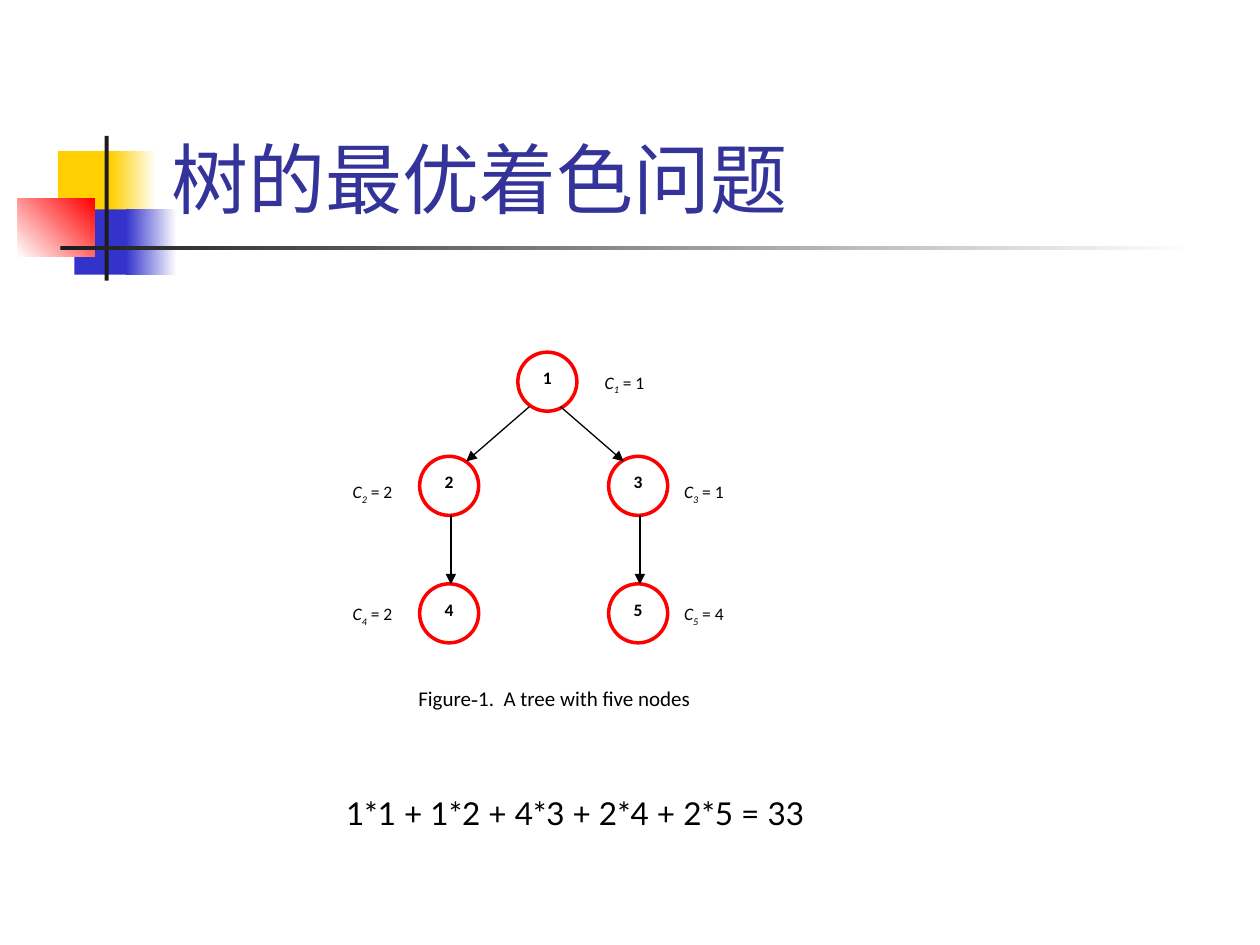
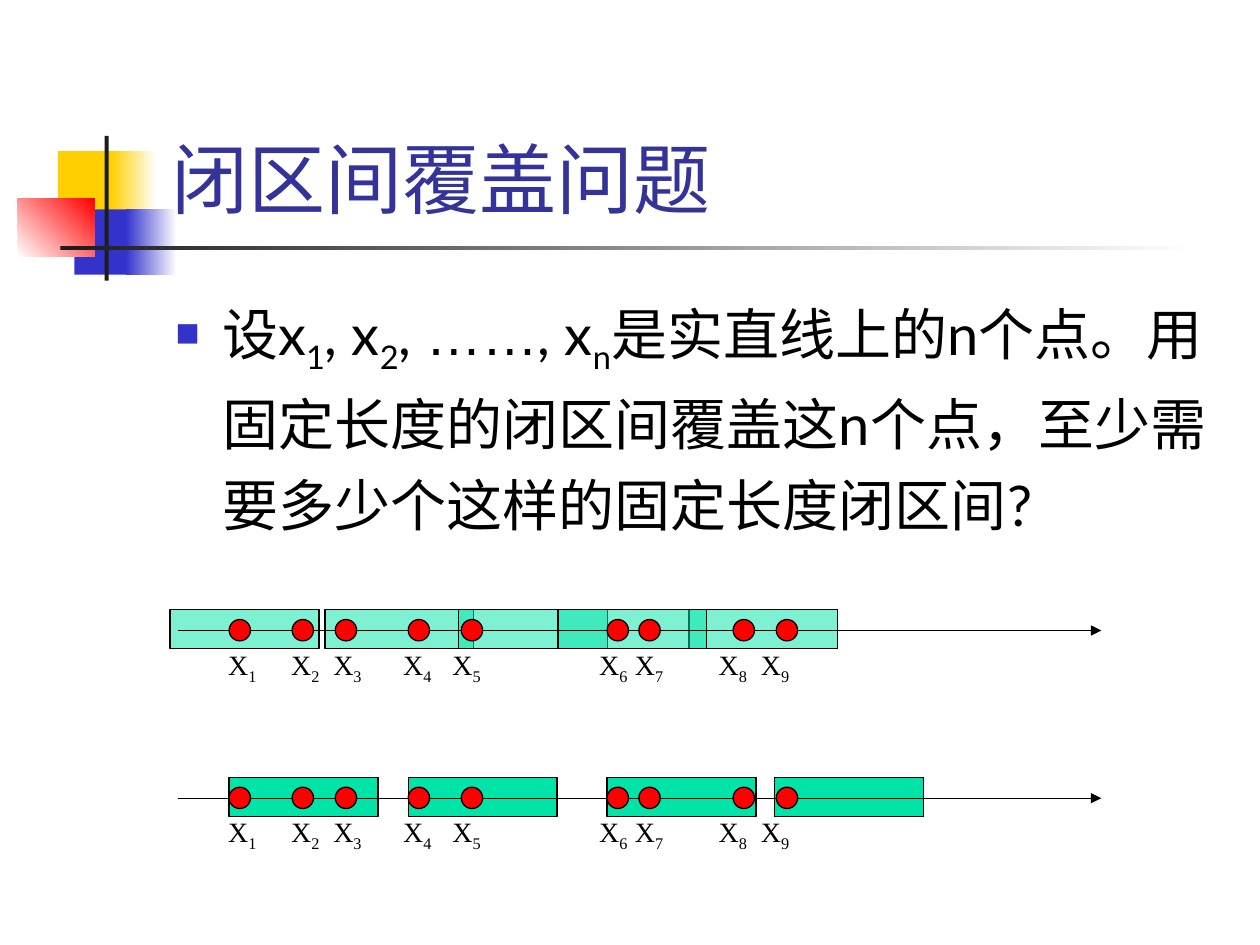
from dataclasses import dataclass, field
from typing import NamedTuple

from lxml.etree import SubElement
from pptx import Presentation
from pptx.dml.color import RGBColor
from pptx.enum.lang import MSO_LANGUAGE_ID
from pptx.enum.shapes import MSO_CONNECTOR, MSO_SHAPE
from pptx.enum.text import MSO_ANCHOR, MSO_AUTO_SIZE, PP_ALIGN
from pptx.oxml.ns import qn
from pptx.util import Cm, Pt


class Style(NamedTuple):
    size: float
    font: str = "Lato"
    ink: str = "000000"
    bold: bool = False


@dataclass(frozen=True)
class Theme:
    black: str = "000000"
    white: str = "FFFFFF"
    gold: str = "FFCF01"
    blue: str = "3333CC"
    red: str = "FF0000"
    dark: str = "1C1C1C"
    mint: str = "00E4A8"
    thin: float = 0.75
    thick: float = 2
    title: Style = field(default=Style(44, ink="333399"))
    body: Style = field(default=Style(32))
    sum: Style = field(default=Style(18))
    node: Style = field(default=Style(10, "Calibri", bold=True))
    cost: Style = field(default=Style(10, "Calibri"))
    note: Style = field(default=Style(12, "Calibri"))
    mark: Style = field(default=Style(16, "Times New Roman"))


class Box(NamedTuple):
    x: float
    y: float
    w: float
    h: float

    def place(self) -> list:
        return [Cm(side) for side in self]


class Bit(NamedTuple):
    text: str
    sub: bool = False
    slant: bool = False
    font: str = ""


class Band(NamedTuple):
    box: Box
    start: str
    end: str = ""
    angle: float = 0


class Node(NamedTuple):
    name: str
    cost: str
    x: float
    y: float
    tag_x: float
    tag_y: float


class Edge(NamedTuple):
    x1: float
    y1: float
    x2: float
    y2: float


class Row(NamedTuple):
    top: float
    spans: tuple[float, ...]
    clear: bool


LOOK = Theme()

BANDS = (
    Band(Box(1.17, 3.05, 1.22, 1.32), LOOK.gold),
    Band(Box(2.24, 3.05, 0.91, 1.32), LOOK.gold, LOOK.white),
    Band(Box(1.5, 4.22, 1.17, 1.32), LOOK.blue),
    Band(Box(2.54, 4.22, 1.02, 1.32), LOOK.blue, LOOK.white),
    Band(Box(0.36, 4.01, 1.55, 1.17), LOOK.white, LOOK.red, 45),
    Band(Box(2.11, 2.74, 0.08, 2.92), LOOK.dark),
    Band(Box(1.22, 4.95, 22.86, 0.09), LOOK.dark, LOOK.white),
)

NODE_SIZE = 1.19
NODES = (
    Node("1", "1", 10.44, 7.1, 11.94, 7.37),
    Node("2", "2", 8.46, 9.2, 6.86, 9.58),
    Node("3", "1", 12.27, 9.2, 13.54, 9.58),
    Node("4", "2", 8.46, 11.77, 6.86, 12.04),
    Node("5", "4", 12.27, 11.77, 13.54, 12.04),
)
EDGES = (
    Edge(10.67, 8.2, 9.4, 9.3),
    Edge(11.3, 8.2, 12.57, 9.3),
    Edge(9.09, 10.39, 9.09, 11.78),
    Edge(12.9, 10.39, 12.9, 11.78),
)

SPAN_W, SPAN_H, DOT_SIZE = 3.0, 0.79, 0.43
DOTS = (4.62, 5.89, 6.76, 8.23, 9.3, 12.24, 12.88, 14.78, 15.65)
TABS = (0.13, 1.4, 2.25, 3.66, 4.65, 7.61, 8.33, 10.02, 10.87)
ROWS = (
    Row(12.29, (13.89, 3.43, 6.55, 9.25, 11.25), True),
    Row(15.67, (4.62, 8.23, 12.24, 15.62), False),
)

BODY = (
    Bit("设x"), Bit("1", sub=True), Bit(", x"), Bit("2", sub=True),
    Bit(", "), Bit("……", font="Arial"), Bit(", x"), Bit("n", sub=True),
    Bit("是实直线上的n个点。用固定长度的闭区间覆盖这n个点，"
        "至少需要多少个这样的固定长度闭区间?"),
)


def tint(text: str) -> RGBColor:
    return RGBColor.from_string(text)


def write(par, bits, style: Style) -> None:
    for bit in bits:
        run = par.add_run()
        run.text = bit.text
        font = run.font
        font.name = bit.font or style.font
        font.size = Pt(style.size)
        font.bold = style.bold
        font.italic = bit.slant
        font.color.rgb = tint(style.ink)
        if not bit.text.isascii():
            font.language_id = MSO_LANGUAGE_ID.SIMPLIFIED_CHINESE
        if bit.sub:
            run._r.get_or_add_rPr().set("baseline", "-25000")


def add_text(slide, box: Box, bits, style: Style,
             align=PP_ALIGN.LEFT, wrap: bool = True):
    frame = slide.shapes.add_textbox(*box.place()).text_frame
    frame.word_wrap = wrap
    par = frame.paragraphs[0]
    par.alignment = align
    write(par, bits, style)
    return par


def add_form(slide, kind, box: Box, fill: str, line: str = "",
             width: float = LOOK.thin):
    shape = slide.shapes.add_shape(kind, *box.place())
    shape.shadow.inherit = False
    shape.fill.solid()
    shape.fill.fore_color.rgb = tint(fill)
    if line:
        shape.line.color.rgb = tint(line)
        shape.line.width = Pt(width)
    else:
        shape.line.fill.background()
    return shape


def add_arrow(slide, edge: Edge) -> None:
    ends = [Cm(side) for side in edge]
    arrow = slide.shapes.add_connector(MSO_CONNECTOR.STRAIGHT, *ends)
    arrow.line.color.rgb = tint(LOOK.black)
    arrow.line.width = Pt(LOOK.thin)
    SubElement(arrow.line._get_or_add_ln(), qn("a:tailEnd"), type="triangle")
    SubElement(arrow._element.spPr, qn("a:effectLst"))


def add_band(slide, band: Band) -> None:
    shape = add_form(slide, MSO_SHAPE.RECTANGLE, band.box, band.start)
    if band.end:
        shape.fill.gradient()
        shape.fill.gradient_angle = band.angle
        for stop, shade in zip(shape.fill.gradient_stops,
                               (band.start, band.end)):
            stop.color.rgb = tint(shade)
        first, last = shape.fill.gradient_stops
        first.position, last.position = 0, 1


def add_page(deck, title: str):
    slide = deck.slides.add_slide(deck.slide_layouts[5])
    for band in BANDS:
        add_band(slide, band)
    head = slide.shapes.title
    head.left, head.top, head.width, head.height = Box(
        3.2, 0.58, 21.64, 4.06).place()
    frame = head.text_frame
    frame.auto_size = MSO_AUTO_SIZE.NONE
    frame.vertical_anchor = MSO_ANCHOR.BOTTOM
    par = frame.paragraphs[0]
    par.alignment = PP_ALIGN.LEFT
    write(par, [Bit(title)], LOOK.title)
    return slide


def add_node(slide, node: Node) -> None:
    ring = add_form(slide, MSO_SHAPE.OVAL,
                    Box(node.x, node.y, NODE_SIZE, NODE_SIZE),
                    LOOK.white, LOOK.red, LOOK.thick)
    ring.text_frame.vertical_anchor = MSO_ANCHOR.TOP
    par = ring.text_frame.paragraphs[0]
    par.alignment = PP_ALIGN.CENTER
    write(par, [Bit(node.name)], LOOK.node)
    bits = (Bit("C", slant=True), Bit(node.name, sub=True, slant=True),
            Bit(f" = {node.cost}"))
    add_text(slide, Box(node.tag_x, node.tag_y, 1.57, 0.81), bits, LOOK.cost)


def add_row(slide, row: Row) -> None:
    for x in row.spans:
        span = add_form(slide, MSO_SHAPE.RECTANGLE,
                        Box(x, row.top, SPAN_W, SPAN_H), LOOK.mint, LOOK.black)
        if row.clear:
            shade = span._element.spPr.find(qn("a:solidFill"))[0]
            SubElement(shade, qn("a:alpha"), val="50000")
    mid = row.top + 0.42
    add_arrow(slide, Edge(3.58, mid, 22.2, mid))
    for x in DOTS:
        add_form(slide, MSO_SHAPE.FLOWCHART_CONNECTOR,
                 Box(x, row.top + 0.2, DOT_SIZE, DOT_SIZE),
                 LOOK.red, LOOK.black)
    bits = [bit for num in range(1, len(DOTS) + 1)
            for bit in (Bit("\tX"), Bit(str(num), sub=True))]
    par = add_text(slide, Box(4.22, row.top + 0.63, 12.7, 1.04),
                   bits, LOOK.mark)
    stops = SubElement(par._p.get_or_add_pPr(), qn("a:tabLst"))
    for stop in TABS:
        SubElement(stops, qn("a:tab"), pos=str(Cm(stop)), algn="l")


def add_point(slide, box: Box, bits) -> None:
    par = add_text(slide, box, bits, LOOK.body)
    par.line_spacing = 1.2
    par.space_before = Pt(8)
    props = par._p.get_or_add_pPr()
    props.set("marL", str(Cm(0.95)))
    props.set("indent", str(-Cm(0.95)))
    shade = SubElement(props, qn("a:buClr"))
    SubElement(shade, qn("a:srgbClr"), val=LOOK.blue)
    SubElement(props, qn("a:buSzPct"), val="60000")
    SubElement(props, qn("a:buChar"), char="■")


def draw_tree(deck) -> None:
    slide = add_page(deck, "树的最优着色问题")
    for node in NODES:
        add_node(slide, node)
    for edge in EDGES:
        add_arrow(slide, edge)
    note = (Bit("Figure"), Bit("-", font="Times New Roman"),
            Bit("1.  A tree with five nodes"))
    add_text(slide, Box(7.9, 13.69, 6.55, 0.81), note, LOOK.note,
             PP_ALIGN.CENTER)
    add_text(slide, Box(6.73, 15.88, 10.08, 1.02),
             [Bit("1*1 + 1*2 + 4*3 + 2*4 + 2*5 = 33")], LOOK.sum, wrap=False)


def draw_spans(deck) -> None:
    slide = add_page(deck, "闭区间覆盖问题")
    add_point(slide, Box(3.28, 5.61, 21.59, 5.89), BODY)
    for row in ROWS:
        add_row(slide, row)


def main() -> None:
    deck = Presentation()
    deck.slide_width, deck.slide_height = Cm(25.4), Cm(19.05)
    draw_tree(deck)
    draw_spans(deck)
    deck.save("out.pptx")


if __name__ == "__main__":
    main()
